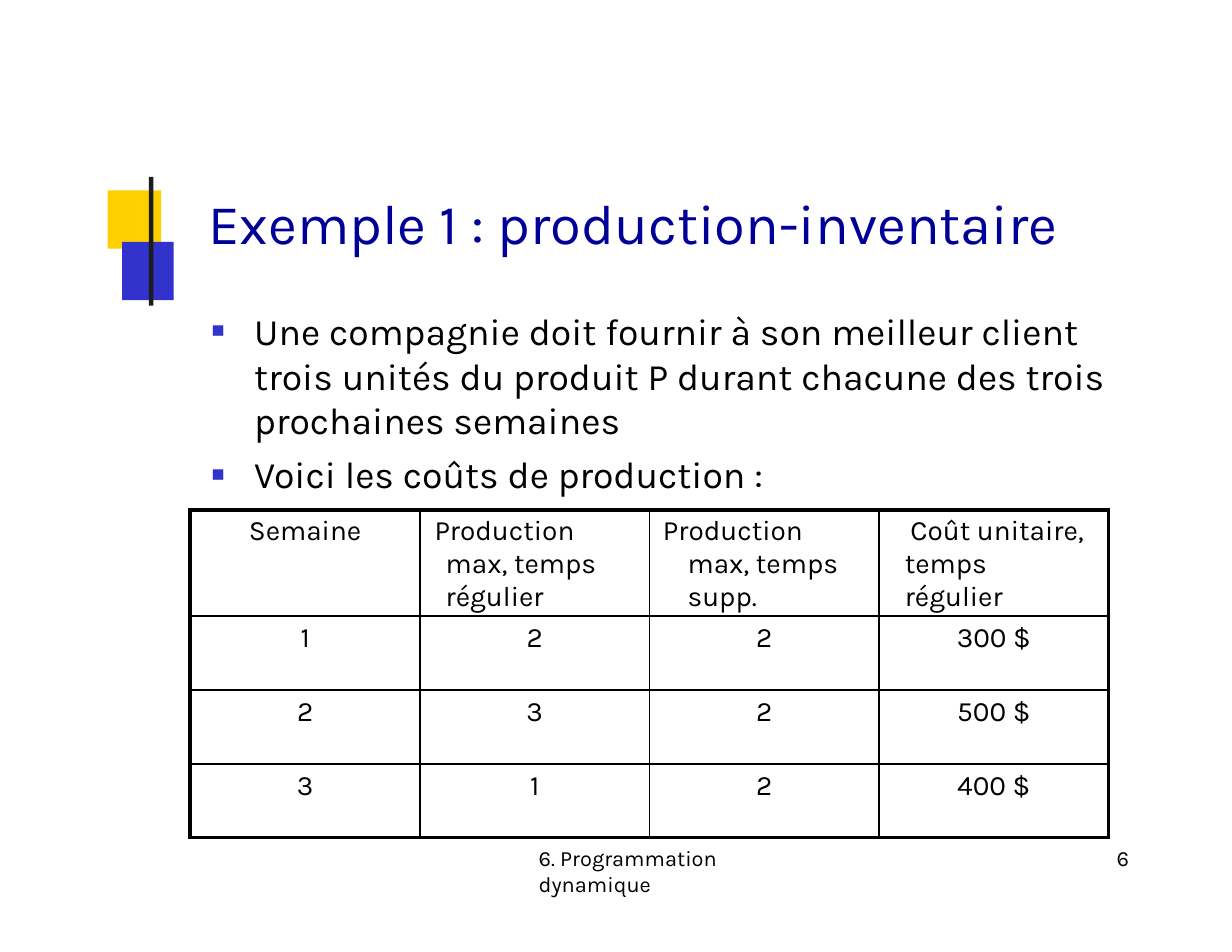
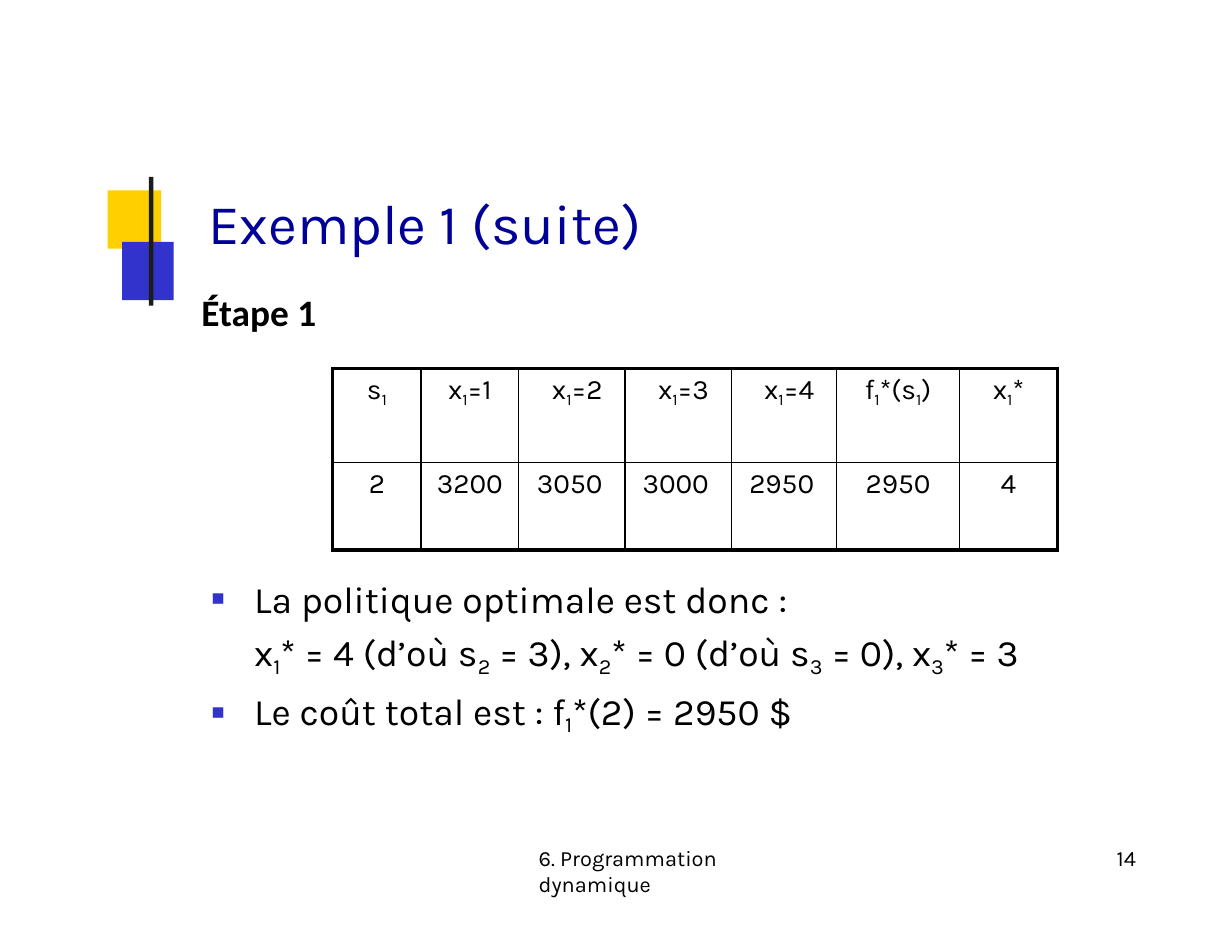
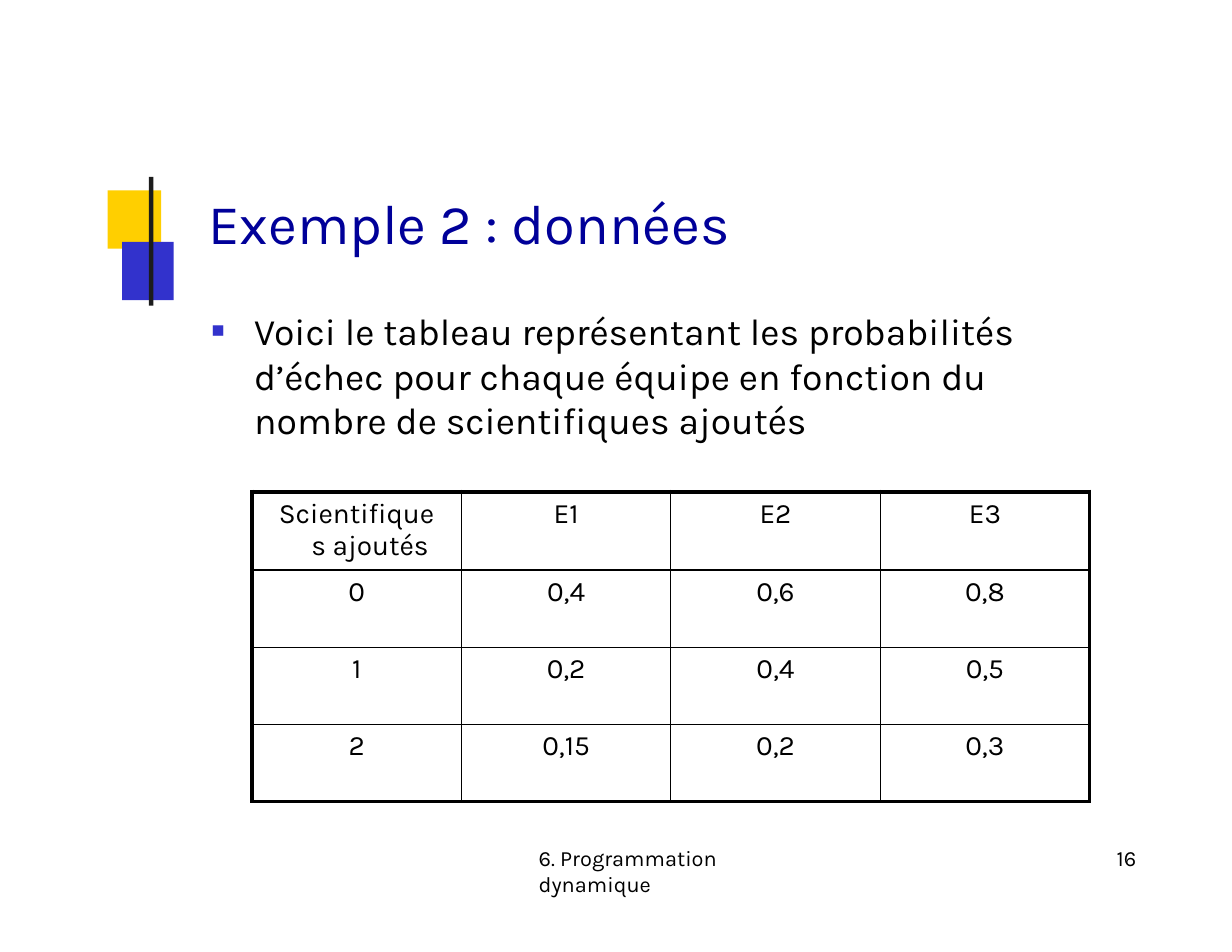
from lxml import etree
from pptx import Presentation
from pptx.dml.color import RGBColor
from pptx.enum.shapes import MSO_SHAPE
from pptx.enum.text import MSO_ANCHOR, MSO_AUTO_SIZE, PP_ALIGN
from pptx.oxml.ns import qn
from pptx.util import Inches, Pt

RECTANGLE = MSO_SHAPE.RECTANGLE
TOP = MSO_ANCHOR.TOP
GROW = MSO_AUTO_SIZE.SHAPE_TO_FIT_TEXT
LEFT, CENTER, RIGHT = PP_ALIGN.LEFT, PP_ALIGN.CENTER, PP_ALIGN.RIGHT

FONT = "Karla"
BLACK, NAVY, BLUE, YELLOW, CHARCOAL = "000000", "000099", "3232CC", "FFCF00", "1C1C1C"
ORNAMENT = [
    ((0.96, 1.7, 0.48, 0.52), YELLOW),
    ((1.09, 2.16, 0.46, 0.52), BLUE),
    ((1.33, 1.58, 0.04, 1.15), CHARCOAL),
]
TITLE_BOX = (1.85, 1.67, 8.34, 0.63)
FOOTER_BOX = (4.8, 7.53, 2.57, 0.26)
NUMBER_BOX = (9.93, 7.53, 0.31, 0.26)
FOOTER = "6. Programmation dynamique"
LIST_TEXT_EDGE = 2.27
BULLET_HANG = 0.38
INNER_LINE = 1


def color(value):
    """Turn a hex string into a colour."""
    return RGBColor.from_string(value)


def place(shape, box):
    """Move and size a shape to a box in inches."""
    shape.left, shape.top, shape.width, shape.height = map(Inches, box)


def set_frame(frame, top=0.01, left=0):
    """Give a text frame its margins, wrapping and anchor."""
    frame.margin_left, frame.margin_top = Inches(left), Inches(top)
    frame.margin_right = frame.margin_bottom = 0
    frame.word_wrap = True
    frame.vertical_anchor = TOP
    frame.auto_size = GROW


def set_font(para, size, hue=BLACK, name=FONT, bold=False):
    """Set the font of a whole paragraph."""
    font = para.font
    font.name, font.size, font.bold = name, Pt(size), bold
    font.color.rgb = color(hue)


def set_indent(para, left, first=0, right=0):
    """Set the indents of a paragraph in inches."""
    props = para._p.get_or_add_pPr()
    for key, value in (("marL", left), ("marR", right), ("indent", first)):
        props.set(key, str(Inches(value)))


def add_child(parent, tag, **attributes):
    """Append a drawing element with its attributes."""
    child = etree.SubElement(parent, qn(tag))
    for key, value in attributes.items():
        child.set(key, str(value))
    return child


def write(para, text):
    """Write text in which an underscore lowers the next character."""
    plain, *lowered = text.split("_")
    if plain:
        para.add_run().text = plain
    for part in lowered:
        index = para.add_run()
        index.text = part[0]
        index._r.get_or_add_rPr().set("baseline", "-21000")
        if part[1:]:
            para.add_run().text = part[1:]


def add_label(page, box, text, size, left=0, top=0.01, **font):
    """Add a text box with one paragraph."""
    label = page.shapes.add_textbox(*map(Inches, box))
    set_frame(label.text_frame, top, left)
    para = label.text_frame.paragraphs[0]
    write(para, text)
    set_font(para, size, **font)


def add_ornament(page):
    """Draw the squares and bar and hand them to the shared layout."""
    for box, hue in ORNAMENT:
        block = page.shapes.add_shape(RECTANGLE, *map(Inches, box))
        block.shadow.inherit = False
        block.fill.solid()
        block.fill.fore_color.rgb = color(hue)
        block.line.fill.background()
        page.slide_layout.shapes.element.append(block.element)


def add_page(deck, layout, title, number):
    """Add a slide with its title, footer and number."""
    page = deck.slides.add_slide(layout)
    heading = page.shapes.title
    place(heading, TITLE_BOX)
    set_frame(heading.text_frame)
    para = heading.text_frame.paragraphs[0]
    write(para, title)
    para.alignment = LEFT
    para.space_before = Pt(0)
    set_indent(para, 0.01)
    set_font(para, 36, NAVY)
    add_label(page, FOOTER_BOX, FOOTER, 14, left=0.01)
    add_label(page, NUMBER_BOX, str(number), 14, left=0.04)
    return page


def fill_list(page, box, items, top=0.01):
    """Fill the body with (text, bulleted) items."""
    body = page.placeholders[1]
    place(body, box)
    frame = body.text_frame
    set_frame(frame, top)
    for position, (text, bulleted) in enumerate(items):
        para = frame.add_paragraph() if position else frame.paragraphs[0]
        write(para, text)
        set_indent(para, LIST_TEXT_EDGE - box[0], -BULLET_HANG if bulleted else 0)
        props = para._p.get_or_add_pPr()
        if bulleted:
            add_child(add_child(props, "a:buClr"), "a:srgbClr", val=BLUE)
            add_child(props, "a:buSzPct", val=58000)
            add_child(props, "a:buFont", typeface="Arial")
            add_child(props, "a:buChar", char="■")
        else:
            add_child(props, "a:buNone")
        para.space_before = Pt(5.7 if position else 0)
        set_font(para, 24)


def set_borders(cell, widths):
    """Draw the left, right, top and bottom borders of a cell."""
    props = cell._tc.get_or_add_tcPr()
    for side, width in zip("LRTB", widths):
        line = add_child(props, f"a:ln{side}", w=Pt(width))
        add_child(add_child(line, "a:solidFill"), "a:srgbClr", val=BLACK)


def add_grid(page, corner, columns, heights, rows, outer, indents=None, right_columns=()):
    """Add a table with outer (left, right, top, bottom) line widths."""
    indents = indents or {}
    box = (*corner, sum(columns), sum(heights))
    grid = page.shapes.add_table(len(rows), len(columns), *map(Inches, box)).table
    grid.first_row = grid.horz_banding = False
    for column, width in zip(grid.columns, columns):
        column.width = Inches(width)
    for row, height in zip(grid.rows, heights):
        row.height = Inches(height)
    last_row, last_column = len(rows) - 1, len(columns) - 1
    for r, texts in enumerate(rows):
        for c, text in enumerate(texts):
            cell = grid.cell(r, c)
            cell.margin_left = cell.margin_right = cell.margin_bottom = 0
            cell.margin_top = Inches(0.05)
            at_edge = (c == 0, c == last_column, r == 0, r == last_row)
            set_borders(cell, [w if edge else INNER_LINE for w, edge in zip(outer, at_edge)])
            cell.fill.background()
            para = cell.text_frame.paragraphs[0]
            write(para, text)
            if (r, c) in indents:
                para.alignment = LEFT
                set_indent(para, *indents[r, c])
            elif c in right_columns:
                para.alignment = RIGHT
                set_indent(para, 0, right=0.2)
            else:
                para.alignment = CENTER
            set_font(para, 18)


def build_production(deck, layout):
    """Build the slide with the production costs."""
    page = add_page(deck, layout, "Exemple 1 : production-inventaire", 6)
    add_ornament(page)
    fill_list(page, (1.88, 2.74, 8.21, 1.7), [
        ("Une compagnie doit fournir à son meilleur client trois unités du produit P "
         "durant chacune des trois prochaines semaines", True),
        ("Voici les coûts de production :", True),
    ])
    rows = [
        ("Semaine", "Production max, temps régulier", "Production max, temps supp.",
         "Coût unitaire, temps régulier"),
        ("1", "2", "2", "300 $"),
        ("2", "3", "2", "500 $"),
        ("3", "1", "2", "400 $"),
    ]
    indents = {(0, 1): (0.23, -0.1, 0.3), (0, 2): (0.34, -0.22, 0.3), (0, 3): (0.23, 0.05, 0.21)}
    add_grid(page, (1.7, 4.55), [2.05] * 4, [0.7] + [0.66] * 3, rows,
             (3, 2.25, 3, 2.25), indents)


def build_policy(deck, layout):
    """Build the slide with the first stage and the best policy."""
    page = add_page(deck, layout, "Exemple 1 (suite)", 14)
    fill_list(page, (1.85, 5.05, 8.16, 1.47), [
        ("La politique optimale est donc :", True),
        ("x_1* = 4 (d’où s_2 = 3), x_2* = 0 (d’où s_3 = 0), x_3* = 3", False),
        ("Le coût total est : f_1*(2) = 2950 $", True),
    ], top=0.09)
    rows = [
        ("s_1", "x_1=1", "x_1=2", "x_1=3", "x_1=4", "f_1*(s_1)", "x_1*"),
        ("2", "3200", "3050", "3000", "2950", "2950", "4"),
    ]
    add_grid(page, (2.97, 3.29), [0.79, 0.87, 0.95, 0.95, 0.94, 1.1, 0.87], [0.84, 0.78],
             rows, (2.25, 2.25, 2.25, 3), right_columns=(2, 3, 4))
    add_label(page, (1.7, 2.53, 5.65, 0.5), "Étape 1", 24, left=0.1, top=0.05,
              name="Calibri", bold=True)


def build_failure(deck, layout):
    """Build the slide with the failure probabilities."""
    page = add_page(deck, layout, "Exemple 2 : données", 16)
    fill_list(page, (1.88, 2.74, 8.11, 1.23), [
        ("Voici le tableau représentant les probabilités d’échec pour chaque équipe "
         "en fonction du nombre de scientifiques ajoutés", True),
    ])
    rows = [
        ("Scientifiques ajoutés", "E1", "E2", "E3"),
        ("0", "0,4", "0,6", "0,8"),
        ("1", "0,2", "0,4", "0,5"),
        ("2", "0,15", "0,2", "0,3"),
    ]
    add_grid(page, (2.25, 4.39), [1.87] * 4, [0.7] + [0.69] * 3, rows,
             (2.25, 2.25, 3, 2.25), {(0, 0): (0.53, -0.29, 0.21)})


def main():
    """Build and save the deck."""
    deck = Presentation()
    deck.slide_width, deck.slide_height = Inches(11), Inches(8.5)
    layout = deck.slide_layouts[1]
    for build in (build_production, build_policy, build_failure):
        build(deck, layout)
    deck.save("out.pptx")


if __name__ == "__main__":
    main()
